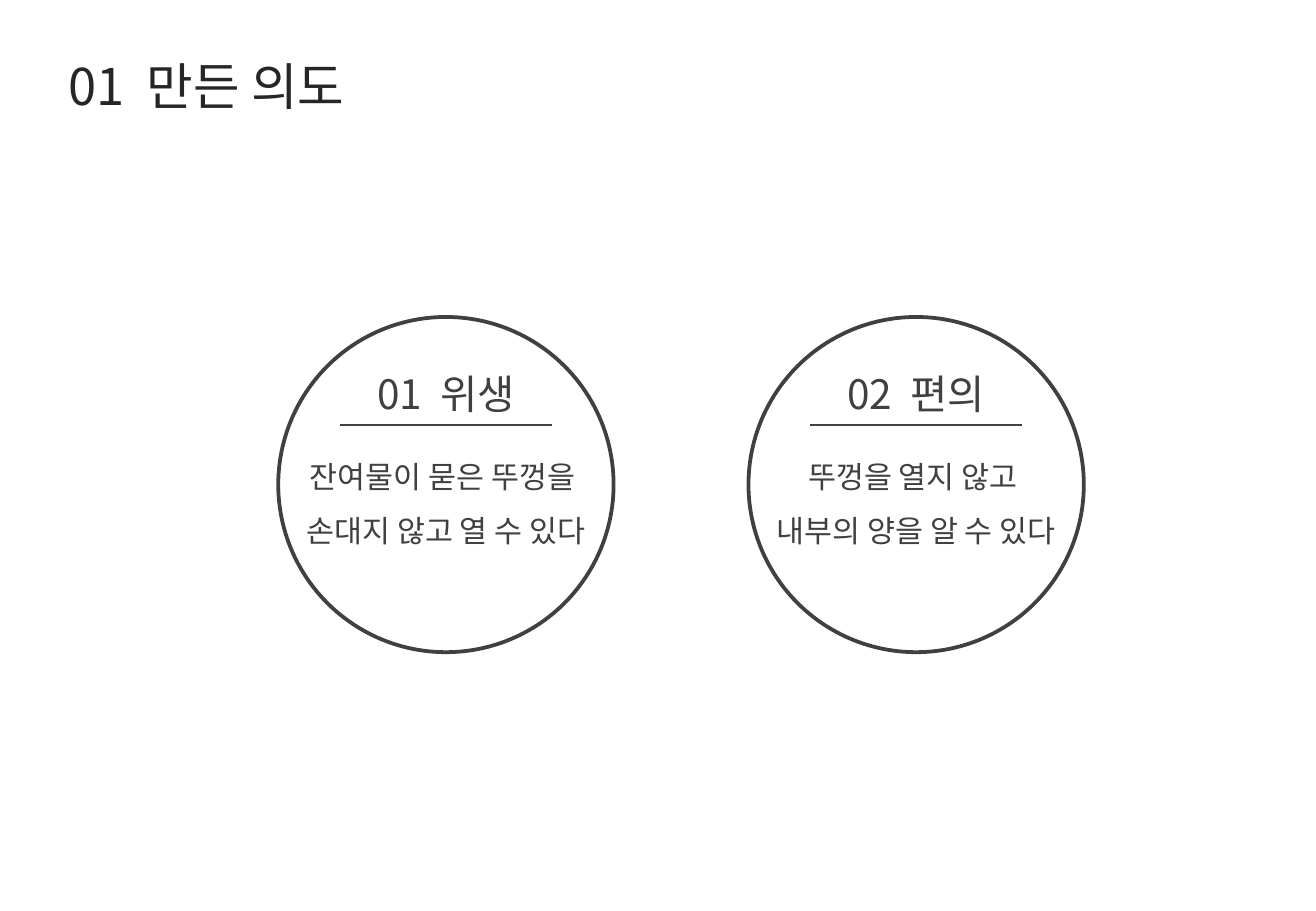
from lxml.etree import SubElement
from pptx import Presentation
from pptx.dml.color import RGBColor
from pptx.enum.shapes import MSO_CONNECTOR, MSO_SHAPE
from pptx.enum.text import MSO_ANCHOR, MSO_AUTO_SIZE, PP_ALIGN
from pptx.oxml.ns import qn
from pptx.util import Inches, Pt

COLORS = {"title": "262626", "ink": "404040"}
FONT = "Noto Sans CJK KR"
SPACE_WIDTH = 0.224  # width of a space, as a share of the font size

FIRST_CENTER, PITCH = 3.67, 3.87
CIRCLE_TOP, DIAMETER = 2.61, 2.76
TEXT_WIDTH, RULE_WIDTH, RULE_Y = 3.12, 1.74, 3.5
REASONS = [
    ("01", "위생", ["잔여물이 묻은 뚜껑을 ", "손대지 않고 열 수 있다"]),
    ("02", "편의", ["뚜껑을 열지 않고 ", "내부의 양을 알 수 있다"]),
]


def write(box, lines, size, color, align, spacing):
    """Fill a box with lines; a (number, label) pair gets a wide gap between."""
    frame = box.text_frame
    frame.word_wrap = True
    frame.auto_size = MSO_AUTO_SIZE.NONE
    frame.vertical_anchor = MSO_ANCHOR.TOP
    for index, line in enumerate(lines):
        para = frame.add_paragraph() if index else frame.paragraphs[0]
        para.alignment = align
        para.line_spacing = spacing
        para.font.name = FONT
        para.font.size = Pt(size)
        para.font.color.rgb = RGBColor.from_string(COLORS[color])
        SubElement(para._p.pPr.find(qn("a:defRPr")), qn("a:ea"), typeface=FONT)
        if isinstance(line, str):
            para.add_run().text = line
            continue
        number, label = line
        for text in (number, " ", label):
            span = para.add_run()
            span.text = text
            if text == " ":
                span._r.get_or_add_rPr().set("spc", str(round(size * SPACE_WIDTH * 100)))


deck = Presentation()
deck.slide_width, deck.slide_height = Inches(10.83), Inches(7.5)
page = deck.slides.add_slide(deck.slide_layouts[5])

title = page.shapes.title
title.left, title.top = Inches(0.46), Inches(0.4)
title.width, title.height = Inches(3.29), Inches(0.61)
write(title, [("01", "만든 의도")], 30, "title", PP_ALIGN.LEFT, 1.0)

for column, (number, label, details) in enumerate(REASONS):
    center = FIRST_CENTER + column * PITCH
    group = page.shapes.add_group_shape()
    text_left = Inches(center - TEXT_WIDTH / 2)

    heading = group.shapes.add_textbox(text_left, Inches(2.79), Inches(TEXT_WIDTH), Inches(0.71))
    write(heading, [(number, label)], 24, "ink", PP_ALIGN.CENTER, 1.5)

    circle = group.shapes.add_shape(
        MSO_SHAPE.OVAL, Inches(center - DIAMETER / 2), Inches(CIRCLE_TOP),
        Inches(DIAMETER), Inches(DIAMETER))
    circle.shadow.inherit = False
    circle.fill.background()
    circle.line.width = Pt(2.25)

    rule = group.shapes.add_connector(
        MSO_CONNECTOR.STRAIGHT, Inches(center - RULE_WIDTH / 2), Inches(RULE_Y),
        Inches(center + RULE_WIDTH / 2), Inches(RULE_Y))
    SubElement(rule._element.spPr, qn("a:effectLst"))
    rule.line.width = Pt(1.5)
    for outline in (circle.line, rule.line):
        outline.color.rgb = RGBColor.from_string(COLORS["ink"])

    body = group.shapes.add_textbox(text_left, Inches(3.57), Inches(TEXT_WIDTH), Inches(1.01))
    write(body, details, 18, "ink", PP_ALIGN.CENTER, 1.5)

deck.save("out.pptx")
